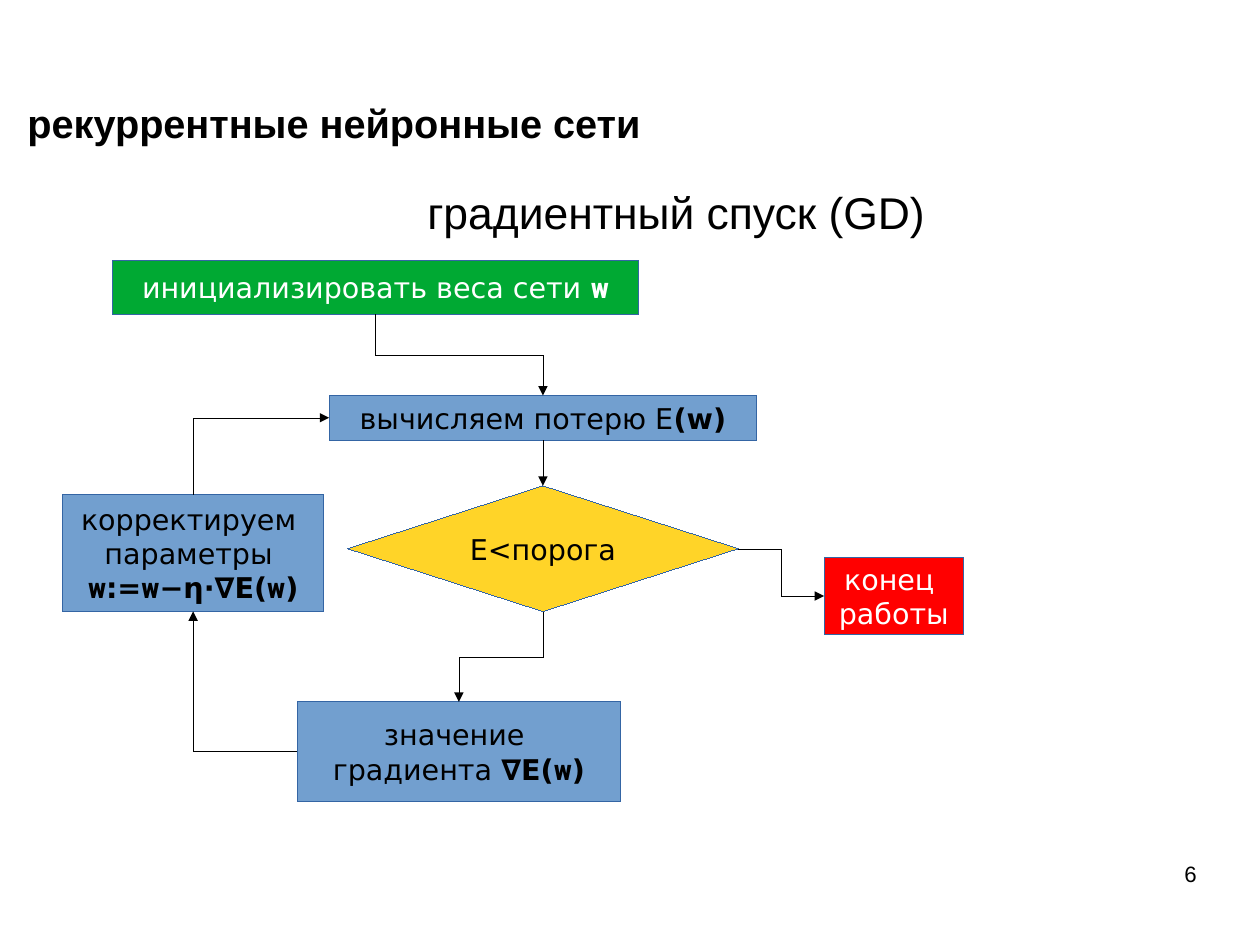
from dataclasses import dataclass

from lxml import etree
from pptx import Presentation
from pptx import util as u
from pptx.dml.color import RGBColor
from pptx.enum import shapes, text
from pptx.oxml.ns import qn


@dataclass(frozen=True)
class Theme:
    black: str = "000000"
    white: str = "FFFFFF"
    start: str = "00A933"
    step: str = "729FCF"
    check: str = "FFD428"
    stop: str = "FF0000"
    border: str = "3465A4"
    hairline_pt: float = 0.01
    title_pt: int = 25
    subtitle_pt: int = 28
    node_pt: int = 18
    number_pt: int = 14
    font: str = "Arial"
    node_font: str = "DejaVu Sans"
    symbol_font: str = "Roboto Condensed"


TOP, LEFT, BOTTOM, RIGHT = range(4)
RECT = shapes.MSO_SHAPE.RECTANGLE
DIAMOND = shapes.MSO_SHAPE.DIAMOND
CENTER = text.PP_ALIGN.CENTER


class FlowSlide:
    def __init__(self, prs, theme):
        self.theme = theme
        self.s = prs.slides.add_slide(prs.slide_layouts[5])

    def style(self, r, size, font, color, bold=False):
        r.font.size = u.Pt(size)
        r.font.name = font
        r.font.bold = bold
        r.font.color.rgb = RGBColor.from_string(color)

    def outline(self, line, color):
        line.color.rgb = RGBColor.from_string(color)
        line.width = u.Pt(self.theme.hairline_pt)

    def frame(self, sp, margins, anchor, wrap=True):
        tf = sp.text_frame
        tf.auto_size = text.MSO_AUTO_SIZE.NONE
        tf.word_wrap = wrap
        tf.vertical_anchor = anchor
        tf.margin_left = tf.margin_right = u.Inches(margins[0])
        tf.margin_top = tf.margin_bottom = u.Inches(margins[1])
        return tf

    def line_of_text(self, sp, words, size, align, margins, anchor, bold=False):
        tf = self.frame(sp, margins, anchor)
        tf.text = words
        p = tf.paragraphs[0]
        p.alignment = align
        self.style(p.runs[0], size, self.theme.font, self.theme.black, bold)

    def title(self, words, *box):
        sp = self.s.shapes.title
        sp.left, sp.top, sp.width, sp.height = map(u.Inches, box)
        self.line_of_text(sp, words, self.theme.title_pt, text.PP_ALIGN.LEFT,
                          (0, 0), text.MSO_ANCHOR.MIDDLE, bold=True)

    def label(self, words, box, size, align, margins, anchor):
        sp = self.s.shapes.add_textbox(*map(u.Inches, box))
        self.line_of_text(sp, words, size, align, margins, anchor)

    def node(self, kind, box, fill, color, *lines):
        t = self.theme
        sp = self.s.shapes.add_shape(kind, *map(u.Inches, box))
        sp.shadow.inherit = False
        sp.fill.solid()
        sp.fill.fore_color.rgb = RGBColor.from_string(fill)
        self.outline(sp.line, t.border)
        tf = self.frame(sp, (0.1, 0.05), text.MSO_ANCHOR.MIDDLE, wrap=False)
        for i, line in enumerate(lines):
            p = tf.add_paragraph() if i else tf.paragraphs[0]
            p.alignment = CENTER
            for words, bold in line:
                r = p.add_run()
                r.text = words
                font = t.symbol_font if words == "w" else t.node_font
                self.style(r, t.node_pt, font, color, bold)
        return sp

    def arrow(self, a, a_side, b, b_side, kind=shapes.MSO_CONNECTOR.ELBOW):
        c = self.s.shapes.add_connector(kind, 0, 0, 0, 0)
        c.begin_connect(a, a_side)
        c.end_connect(b, b_side)
        self.outline(c.line, self.theme.black)
        pr = c.element.spPr
        etree.SubElement(pr.find(qn("a:ln")), qn("a:tailEnd"), type="triangle")
        etree.SubElement(pr, qn("a:effectLst"))
        if kind == shapes.MSO_CONNECTOR.ELBOW:
            if a_side % 2 != b_side % 2:
                pr.find(qn("a:prstGeom")).set("prst", "bentConnector2")
            if a_side in (TOP, BOTTOM):
                self.leave_vertically(c)

    def leave_vertically(self, c):
        dx, dy = c.end_x - c.begin_x, c.end_y - c.begin_y
        mid_x, mid_y = (c.begin_x + c.end_x) // 2, (c.begin_y + c.end_y) // 2
        c.width, c.height = abs(dy), abs(dx)
        c.left, c.top = mid_x - c.width // 2, mid_y - c.height // 2
        xfrm = c.element.spPr.find(qn("a:xfrm"))
        xfrm.set("rot", str((90 if dy > 0 else 270) * 60000))
        xfrm.set("flipH", "0")
        xfrm.set("flipV", "1" if dx * dy > 0 else "0")


def main():
    prs = Presentation()
    prs.slide_width = u.Inches(28 / 2.54)
    prs.slide_height = u.Inches(21 / 2.54)
    t = Theme()
    s = FlowSlide(prs, t)

    s.title("рекуррентные нейронные сети", 0.24, 0.81, 9.69, 0.53)
    s.label("градиентный спуск (GD)", (3.64, 1.51, 4.95, 0.63), t.subtitle_pt,
            text.PP_ALIGN.LEFT, (0.1, 0.05), text.MSO_ANCHOR.BOTTOM)
    s.label("6", (7.9, 7.53, 2.57, 0.57), t.number_pt,
            text.PP_ALIGN.RIGHT, (0, 0), text.MSO_ANCHOR.TOP)

    init = s.node(RECT, (0.98, 2.28, 4.61, 0.47), t.start, t.white,
                  [("инициализировать веса сети ", False), ("w", True)])
    loss = s.node(RECT, (2.88, 3.46, 3.74, 0.39), t.step, t.black,
                  [("вычисляем потерю E", False), ("(w)", True)])
    check = s.node(DIAMOND, (3.04, 4.25, 3.42, 1.1), t.check, t.black,
                   [("E<порога", False)])
    stop = s.node(RECT, (7.21, 4.88, 1.22, 0.67), t.stop, t.white,
                  [("конец ", False)], [("работы", False)])
    gradient = s.node(RECT, (2.6, 6.14, 2.83, 0.87), t.step, t.black,
                      [("значение ", False)],
                      [("градиента ", False), ("∇E(", True), ("w", True), (")", True)])
    update = s.node(RECT, (0.55, 4.33, 2.28, 1.02), t.step, t.black,
                    [("корректируем ", False)],
                    [("параметры ", False)],
                    [(words, True) for words in ("w", ":=", "w", "−η⋅∇E(", "w", ")")])

    s.arrow(init, BOTTOM, loss, TOP)
    s.arrow(loss, BOTTOM, check, TOP, shapes.MSO_CONNECTOR.STRAIGHT)
    s.arrow(check, RIGHT, stop, LEFT)
    s.arrow(check, BOTTOM, gradient, TOP)
    s.arrow(gradient, LEFT, update, BOTTOM)
    s.arrow(update, TOP, loss, LEFT)

    prs.save("out.pptx")


if __name__ == "__main__":
    main()
